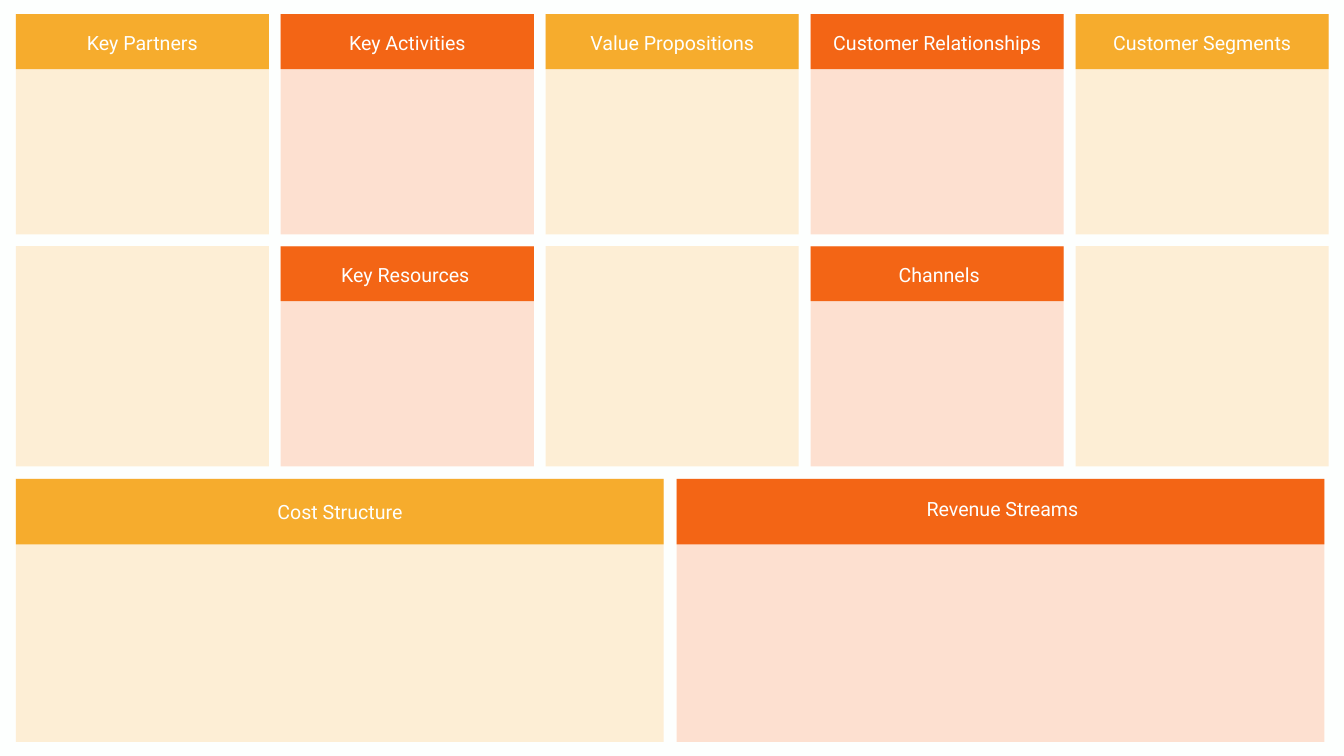
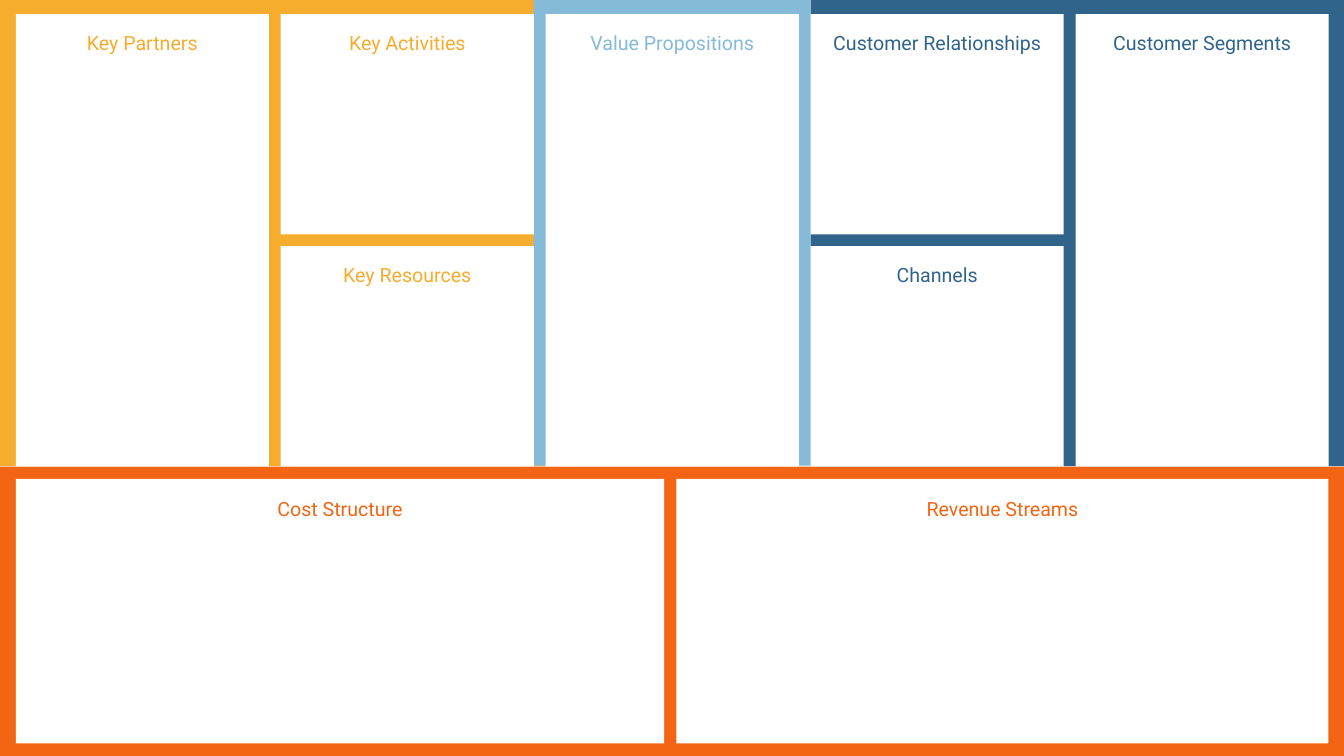
from dataclasses import dataclass

from pptx import Presentation
from pptx import util as u
from pptx.dml.color import RGBColor
from pptx.enum import shapes, text


@dataclass(frozen=True)
class Theme:
    background: str = "FDFFFE"
    white: str = "FEFFFE"
    amber: str = "F6AC2D"
    orange: str = "F36515"
    sky: str = "85BAD9"
    navy: str = "31648A"
    pale_amber: str = "FDEED5"
    pale_orange: str = "FDE0D0"
    font: str = "Roboto"
    label_size: float = 28


THEME = Theme()
TINTS = {THEME.amber: THEME.pale_amber, THEME.orange: THEME.pale_orange}

SLIDE_WIDTH, SLIDE_HEIGHT = 1919.52, 1080
LEFT, TOP = 22.5, 20.2
COLUMN_WIDTH, COLUMN_PITCH = 361.5, 378.4
CARD_HEIGHT, ROW_PITCH = 314.6, 331.6
TALL_HEIGHT = ROW_PITCH + CARD_HEIGHT
BOTTOM_TOP, BOTTOM_HEIGHT = 684, 378
HEADER_HEIGHT, BOTTOM_HEADER_HEIGHT = 78.5, 93.6
LABEL_HEIGHT = 41


@dataclass(frozen=True)
class Section:
    name: str
    left: float
    top: float
    width: float
    height: float
    label_width: float
    header_color: str
    frame_color: str

    @property
    def is_bottom(self):
        return self.top == BOTTOM_TOP


def upper_section(name, column, row, height, label_width, frame_color):
    """Place a section on the five-column grid; header colours alternate."""
    header_color = THEME.orange if column % 2 else THEME.amber
    return Section(name, LEFT + column * COLUMN_PITCH, TOP + row * ROW_PITCH,
                   COLUMN_WIDTH, height, label_width, header_color, frame_color)


SECTIONS = [
    upper_section("Key Partners", 0, 0, TALL_HEIGHT, 196, THEME.amber),
    upper_section("Key Activities", 1, 0, CARD_HEIGHT, 215, THEME.amber),
    upper_section("Key Resources", 1, 1, CARD_HEIGHT, 233, THEME.amber),
    upper_section("Value Propositions", 2, 0, TALL_HEIGHT, 283, THEME.sky),
    upper_section("Customer Relationships", 3, 0, CARD_HEIGHT, 360, THEME.navy),
    upper_section("Channels", 3, 1, CARD_HEIGHT, 196, THEME.navy),
    upper_section("Customer Segments", 4, 0, TALL_HEIGHT, 341, THEME.navy),
    Section("Cost Structure", LEFT, BOTTOM_TOP, 926, BOTTOM_HEIGHT, 279,
            THEME.amber, THEME.orange),
    Section("Revenue Streams", 966.2, BOTTOM_TOP, 931, BOTTOM_HEIGHT, 277,
            THEME.orange, THEME.orange),
]

# Small label shifts (right, down) on the coloured-header canvas
HEADER_LABEL_SHIFTS = {
    "Key Resources": (-2.9, 0),
    "Channels": (2.9, 0),
    "Cost Structure": (0, 4.3),
}


class Canvas:
    """Holds the theme and the slide being drawn."""

    def __init__(self, deck, theme):
        self.deck = deck
        self.theme = theme
        self.slide = None

    def new_slide(self):
        blank_layout = self.deck.slide_layouts[6]
        self.slide = self.deck.slides.add_slide(blank_layout)
        fill = self.slide.background.fill
        fill.solid()
        fill.fore_color.rgb = RGBColor.from_string(self.theme.background)

    def block(self, left, top, width, height, color,
              kind=shapes.MSO_SHAPE.RECTANGLE):
        shape = self.slide.shapes.add_shape(
            kind, u.Pt(left), u.Pt(top), u.Pt(width), u.Pt(height))
        shape.shadow.inherit = False
        shape.fill.solid()
        shape.fill.fore_color.rgb = RGBColor.from_string(color)
        shape.line.fill.background()
        return shape

    def panel(self, section):
        shape = self.block(section.left, section.top, section.width, section.height,
                           self.theme.white, shapes.MSO_SHAPE.ROUNDED_RECTANGLE)
        shape.adjustments[0] = 0

    def label(self, section, color, shift=(0, 0)):
        """Centre the section's name near the top of its cell."""
        left = section.left + (section.width - section.label_width) / 2 + shift[0]
        top = section.top + (23 if section.is_bottom else 20) + shift[1]
        box = self.slide.shapes.add_textbox(
            u.Pt(left), u.Pt(top), u.Pt(section.label_width), u.Pt(LABEL_HEIGHT))
        frame = box.text_frame
        frame.word_wrap = True
        frame.auto_size = text.MSO_AUTO_SIZE.SHAPE_TO_FIT_TEXT
        frame.text = section.name
        para = frame.paragraphs[0]
        para.alignment = text.PP_ALIGN.CENTER
        font = para.runs[0].font
        font.name = self.theme.font
        font.size = u.Pt(self.theme.label_size)
        font.color.rgb = RGBColor.from_string(color)


def draw_header_canvas(canvas):
    """Tinted cards with coloured headers; tall sections become two cards."""
    canvas.new_slide()
    for section in SECTIONS:
        tint = TINTS[section.header_color]
        if section.is_bottom:
            width, height, header_height = 925.2, 375.8, BOTTOM_HEADER_HEIGHT
        else:
            width, height, header_height = COLUMN_WIDTH, CARD_HEIGHT, HEADER_HEIGHT
        canvas.block(section.left, section.top, width, height, tint)
        canvas.block(section.left, section.top, width, header_height,
                     section.header_color)
        if section.height == TALL_HEIGHT:
            canvas.block(section.left, section.top + ROW_PITCH, width, height, tint)
    for section in SECTIONS:
        canvas.label(section, THEME.white,
                     HEADER_LABEL_SHIFTS.get(section.name, (0, 0)))


def draw_frame_canvas(canvas):
    """White panels on coloured zones that show through as frames."""
    canvas.new_slide()
    zones = [
        (0, 0, 779, 666, THEME.amber),
        (762, 0, 395.3, 665.3, THEME.sky),
        (0, 666.7, SLIDE_WIDTH, 413.3, THEME.orange),
        (1157.8, 0, 761.7, 666, THEME.navy),
    ]
    for zone in zones:
        canvas.block(*zone)
    for section in SECTIONS:
        canvas.panel(section)
    for section in SECTIONS:
        canvas.label(section, section.frame_color)


def main():
    deck = Presentation()
    deck.slide_width = u.Pt(SLIDE_WIDTH)
    deck.slide_height = u.Pt(SLIDE_HEIGHT)
    canvas = Canvas(deck, THEME)
    draw_header_canvas(canvas)
    draw_frame_canvas(canvas)
    deck.save("out.pptx")


if __name__ == "__main__":
    main()
